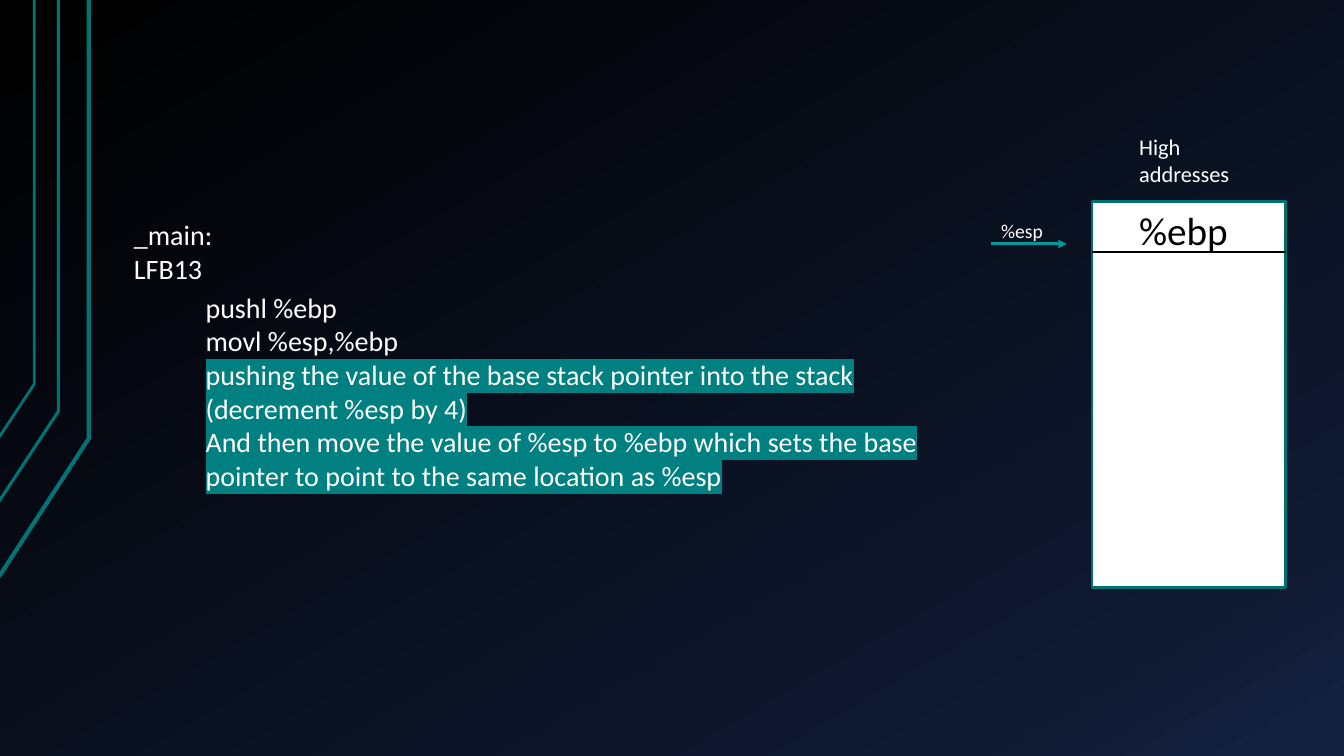
from dataclasses import dataclass

from lxml.etree import SubElement
from pptx import Presentation
from pptx.dml.color import RGBColor
from pptx.enum.shapes import MSO_CONNECTOR, MSO_SHAPE
from pptx.enum.text import MSO_AUTO_SIZE
from pptx.oxml import parse_xml
from pptx.oxml.ns import nsdecls, qn
from pptx.util import Inches, Pt


@dataclass(frozen=True)
class Theme:
    font: str = "Calibri"
    white: str = "FFFFFF"
    black: str = "000000"
    rail: str = "007373"
    frame: str = "007171"
    arrow: str = "009999"
    highlight: str = "008080"
    backdrop: tuple = ((0, "000000"), (85, "0F1931"), (100, "142242"))
    backdrop_angle: int = 60
    code: int = 20
    register: int = 28
    pointer: int = 14
    caption: int = 16


THEME = Theme()


def set_attrs(obj, values):
    for name, value in values.items():
        setattr(obj, name, value)


def set_backdrop(s):
    stops = "".join(
        f'<a:gs pos="{pos * 1000}"><a:srgbClr val="{color}"/></a:gs>'
        for pos, color in THEME.backdrop
    )
    bg = parse_xml(
        f'<p:bg {nsdecls("p", "a")}><p:bgPr><a:gradFill rotWithShape="1">'
        f'<a:gsLst>{stops}</a:gsLst>'
        f'<a:lin ang="{THEME.backdrop_angle * 60000}" scaled="0"/>'
        f'</a:gradFill><a:effectLst/></p:bgPr></p:bg>'
    )
    s.element.cSld.insert(0, bg)


def set_line(sp, color, width):
    sp.line.color.rgb = RGBColor.from_string(color)
    sp.line.width = Pt(width)


def add_rail(s, points, width):
    start, *rest = [(Inches(x), Inches(y)) for x, y in points]
    builder = s.shapes.build_freeform(*start)
    builder.add_line_segments(rest, close=False)
    sp = builder.convert_to_shape()
    sp.shadow.inherit = False
    sp.fill.background()
    set_line(sp, THEME.rail, width)


def add_box(s, left, top, width, height):
    sp = s.shapes.add_shape(
        MSO_SHAPE.RECTANGLE, Inches(left), Inches(top), Inches(width), Inches(height)
    )
    sp.shadow.inherit = False
    sp.fill.solid()
    sp.fill.fore_color.rgb = RGBColor.from_string(THEME.white)
    set_line(sp, THEME.frame, 2)


def add_level_line(s, left, right, y, color, width, arrow=False):
    sp = s.shapes.add_connector(
        MSO_CONNECTOR.STRAIGHT, Inches(left), Inches(y), Inches(right), Inches(y)
    )
    set_line(sp, color, width)
    if arrow:
        SubElement(sp.line._get_or_add_ln(), qn("a:tailEnd"), type="triangle")
    SubElement(sp._element.spPr, qn("a:effectLst"))


def highlight_run(r):
    mark = parse_xml(
        f'<a:highlight {nsdecls("a")}>'
        f'<a:srgbClr val="{THEME.highlight}"/></a:highlight>'
    )
    r.font._element.find(qn("a:solidFill")).addnext(mark)


def add_text(s, place, lines, size, color=THEME.white, marked=()):
    tf = s.shapes.add_textbox(*map(Inches, place)).text_frame
    set_attrs(tf, {"word_wrap": True, "auto_size": MSO_AUTO_SIZE.SHAPE_TO_FIT_TEXT})
    for i, line in enumerate([*lines, *marked]):
        p = tf.paragraphs[0] if i == 0 else tf.add_paragraph()
        r = p.add_run()
        r.text = line
        set_attrs(r.font, {"name": THEME.font, "size": Pt(size)})
        r.font.color.rgb = RGBColor.from_string(color)
        if i >= len(lines):
            highlight_run(r)


def main():
    prs = Presentation()
    set_attrs(prs, {"slide_width": Inches(13.33), "slide_height": Inches(7.5)})
    s = prs.slides.add_slide(prs.slide_layouts[6])
    set_backdrop(s)

    for start, x, bend, width in (
        ((-0.01, 5.72), 0.88, 4.35, 3),
        ((-0.02, 4.99), 0.58, 4.08, 2.25),
        ((-0.01, 4.34), 0.34, 3.81, 2),
    ):
        add_rail(s, [start, (x, bend), (x, 0)], width)

    add_box(s, 10.83, 2, 1.92, 3.83)
    add_level_line(s, 10.83, 12.75, 2.5, THEME.black, 0.75)

    add_text(s, (1.23, 2.11, 6.33, 0.77), ["_main:", "LFB13"], THEME.code)
    add_text(
        s,
        (1.94, 2.83, 7.62, 2.12),
        ["pushl %ebp", "movl %esp,%ebp"],
        THEME.code,
        marked=[
            "pushing the value of the base stack pointer into the stack "
            "(decrement %esp by 4)",
            "And then move the value of %esp to %ebp which sets the base "
            "pointer to point to the same location as %esp",
        ],
    )

    add_level_line(s, 9.83, 10.58, 2.42, THEME.arrow, 2, arrow=True)
    add_text(s, (11.2, 2, 1.17, 0.57), ["%ebp"], THEME.register, THEME.black)
    add_text(s, (9.83, 2.12, 1.08, 0.34), ["%esp"], THEME.pointer)
    add_text(s, (11.2, 1.27, 1.25, 0.64), ["High addresses"], THEME.caption)
    prs.save("out.pptx")


if __name__ == "__main__":
    main()
